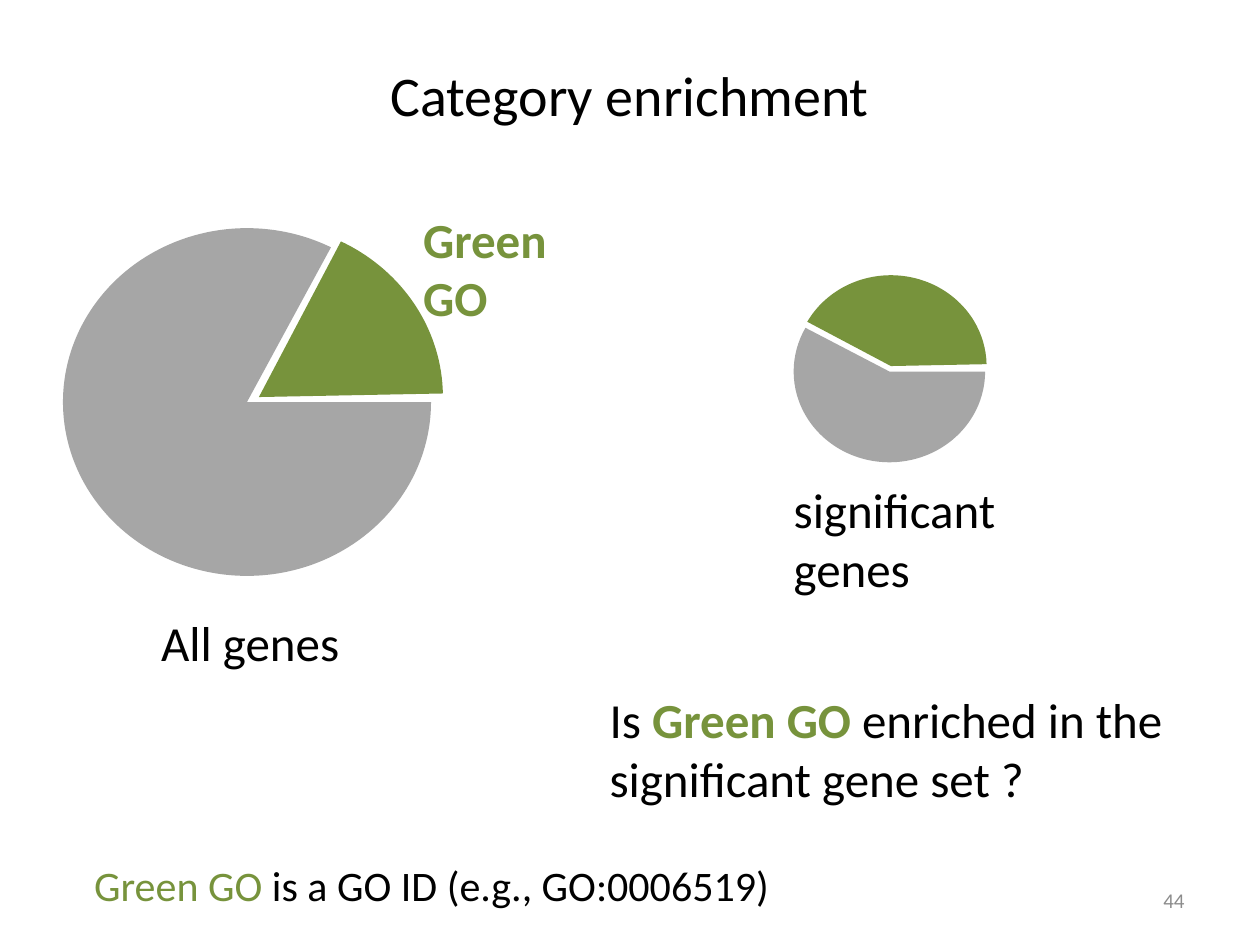
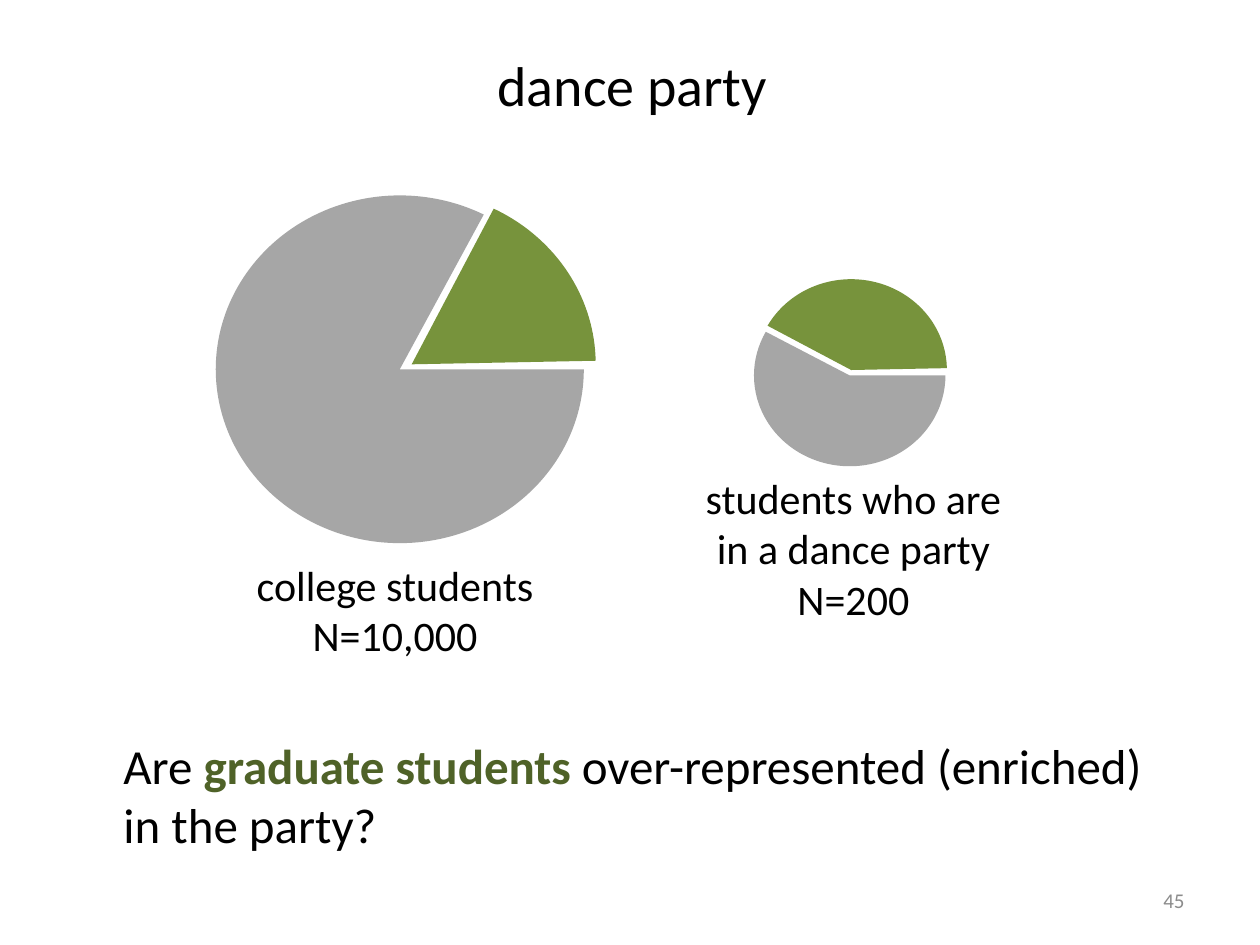
import pptx
import pptx.util
import pptx.dml.color
import pptx.enum.shapes
import pptx.enum.text

Cm = pptx.util.Cm
Pt = pptx.util.Pt
RGBColor = pptx.dml.color.RGBColor
MSO_SHAPE = pptx.enum.shapes.MSO_SHAPE
PP_ALIGN = pptx.enum.text.PP_ALIGN
MSO_ANCHOR = pptx.enum.text.MSO_ANCHOR

BLACK = RGBColor(0x00, 0x00, 0x00)
GREY = RGBColor(0xA6, 0xA6, 0xA6)
GREEN = RGBColor(0x77, 0x93, 0x3C)
DARK_GREEN = RGBColor(0x4F, 0x62, 0x28)
NUMBER_GREY = RGBColor(0x8C, 0x8C, 0x8C)
FONT = "Calibri"
LEFT, CENTER, RIGHT = PP_ALIGN.LEFT, PP_ALIGN.CENTER, PP_ALIGN.RIGHT

# Pie kinds: width, height, shift of the green slice (cm),
# end of the grey slice, start of the green slice (degrees)
BIG = (7.42, 7.01, 0.24, -0.1, 298.5, 297.8)
SMALL = (3.86, 3.66, 0.03, -0.11, 207.5, 207.9)
GREEN_END = 358.9


def add_text(s, box, paragraphs, size, align=LEFT, wrap=True, anchor=MSO_ANCHOR.TOP):
    """Add a text box; each paragraph is a list of (text, colour, bold) runs."""
    tf = s.shapes.add_textbox(*[Cm(v) for v in box]).text_frame
    tf.word_wrap = wrap
    tf.vertical_anchor = anchor
    for i, runs in enumerate(paragraphs):
        p = tf.add_paragraph() if i else tf.paragraphs[0]
        p.alignment = align
        for text, color, bold in runs:
            r = p.add_run()
            r.text = text
            r.font.name = FONT
            r.font.size = Pt(size)
            r.font.bold = bold
            r.font.color.rgb = color


def add_pie(s, left, top, kind):
    """Add a grey pie with its green slice pulled out."""
    width, height, dx, dy, grey_end, green_start = kind
    for x, y, start, end, color in (
        (left, top, 0, grey_end, GREY),
        (left + dx, top + dy, green_start, GREEN_END, GREEN),
    ):
        sp = s.shapes.add_shape(MSO_SHAPE.PIE, Cm(x), Cm(y), Cm(width), Cm(height))
        # Angles are stored in 60000ths of a degree, adjustments in 100000ths
        sp.adjustments[0] = start * 0.6
        sp.adjustments[1] = end * 0.6
        sp.shadow.inherit = False
        sp.fill.solid()
        sp.fill.fore_color.rgb = color
        sp.line.fill.background()


prs = pptx.Presentation()
prs.slide_width = Cm(25.4)
prs.slide_height = Cm(19.05)

# Title, title box, slide number, pies, texts (box, paragraphs, size, align, wrap)
slides = [
    (
        "Category enrichment", (1.27, 0.76, 22.86, 2.29), "44",
        [(1.27, 4.6, BIG), (16, 5.66, SMALL)],
        [
            ((3, 12.22, 4.14, 1.45), [[("All genes", BLACK, False)]], 28, LEFT, False),
            ((15.75, 9.55, 4.65, 2.64),
             [[("significant", BLACK, False)], [("genes", BLACK, False)]], 28, LEFT, False),
            ((12.04, 13.77, 11.86, 2.64),
             [[("Is ", BLACK, False), ("Green GO", GREEN, True),
               (" enriched in the significant gene set ?", BLACK, False)]], 28, LEFT, True),
            ((8.28, 4.09, 3.1, 2.64), [[("Green GO", GREEN, True)]], 28, LEFT, True),
            ((1.65, 17.2, 14.22, 1.27),
             [[("Green GO ", GREEN, False),
               ("is a GO ID (e.g., GO:0006519)", BLACK, False)]], 24, LEFT, False),
        ],
    ),
    (
        "dance party", (1.32, 0.76, 22.86, 1.88), "45",
        [(4.35, 3.94, BIG), (15.2, 5.74, SMALL)],
        [
            ((4.88, 11.15, 6.17, 2.31),
             [[("college students", BLACK, False)], [("N=10,000", BLACK, False)]],
             24, CENTER, False),
            ((13.89, 9.4, 6.63, 3.33),
             [[("students who are in a dance party", BLACK, False)],
              [("N=200", BLACK, False)]], 24, CENTER, True),
            ((2.24, 14.71, 21.49, 2.64),
             [[("Are ", BLACK, False), ("graduate students ", DARK_GREEN, True),
               ("over-represented (enriched) in the party?", BLACK, False)]],
             28, LEFT, True),
        ],
    ),
]

for title, title_box, number, pies, texts in slides:
    s = prs.slides.add_slide(prs.slide_layouts[6])
    add_text(s, title_box, [[(title, BLACK, False)]], 32, CENTER, anchor=MSO_ANCHOR.MIDDLE)
    for left, top, kind in pies:
        add_pie(s, left, top, kind)
    for text in texts:
        add_text(s, *text)
    add_text(s, (18.2, 17.65, 5.93, 1.01), [[(number, NUMBER_GREY, False)]], 12, RIGHT,
             anchor=MSO_ANCHOR.MIDDLE)

prs.save("out.pptx")
